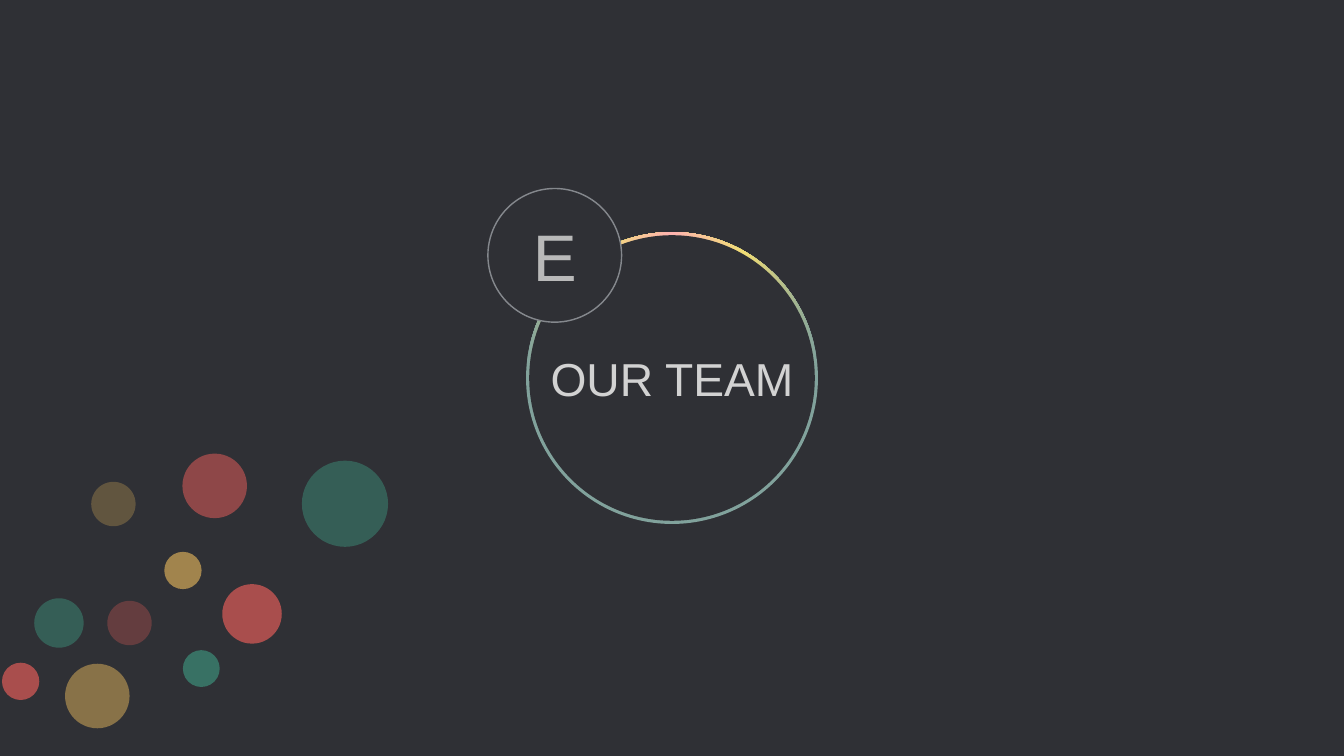
"""Build a section slide with a ringed title, a letter badge and scattered dots."""
from lxml import etree
from pptx import Presentation
from pptx.dml.color import RGBColor
from pptx.enum.shapes import MSO_SHAPE
from pptx.enum.text import MSO_ANCHOR, MSO_AUTO_SIZE, PP_ALIGN
from pptx.oxml.ns import qn
from pptx.util import Pt

OVAL = MSO_SHAPE.OVAL
MIDDLE = MSO_ANCHOR.MIDDLE
FIT_SHAPE = MSO_AUTO_SIZE.SHAPE_TO_FIT_TEXT
CENTER = PP_ALIGN.CENTER

BACKGROUND = RGBColor(0x2F, 0x30, 0x35)
BADGE_LINE = RGBColor(0x85, 0x88, 0x8D)
TITLE_COLOR = RGBColor(0xD2, 0xD2, 0xD2)
LETTER_COLOR = RGBColor(0xB9, 0xB9, 0xB9)
PINK = RGBColor(0xFE, 0xB3, 0xB0)
YELLOW = RGBColor(0xF0, 0xDD, 0x75)
TEAL = RGBColor(0x81, 0xA2, 0x9C)
GOLD = RGBColor(0xF1, 0xC0, 0x5F)
GREEN = RGBColor(0x3F, 0xA0, 0x86)
RED = RGBColor(0xFF, 0x63, 0x5F)

WIDTH, HEIGHT = 1920, 1080
RING_CENTER = (960, 540)
BADGE_CENTER = (792.5, 364.75)

DOTS = [
    ((261.4, 815), 53.3, GOLD, 59),
    ((84.2, 890), 70.6, GREEN, 42),
    ((139, 994.3), 92.2, GOLD, 46),
    ((29.5, 973.4), 53.3, RED, 59),
    ((185, 890), 63.4, RED, 26),
    ((287.6, 955.1), 52.6, GREEN, 59),
    ((492.8, 719.6), 123.1, GREEN, 42),
    ((306.7, 694.1), 92.2, RED, 46),
    ((162, 720), 63.4, GOLD, 26),
    ((360, 877), 85, RED, 59),
]


class SlideBuilder:
    """Hold the font and the current slide, and draw elements by their centres."""

    def __init__(self, slide, font="Arial"):
        self.slide = slide
        self.font = font
        self.shapes = slide.shapes

    def background(self, color):
        """Fill the slide background."""
        fill = self.slide.background.fill
        fill.solid()
        fill.fore_color.rgb = color

    def group(self):
        """Start a group that receives the following elements."""
        self.shapes = self.slide.shapes.add_group_shape().shapes

    def ungroup(self):
        """Return to drawing directly on the slide."""
        self.shapes = self.slide.shapes

    def circle(self, center, diameter, color, opacity=100, line=None):
        """Draw a solid circle with optional transparency and outline."""
        x, y = center
        shape = self.shapes.add_shape(OVAL, Pt(x - diameter / 2), Pt(y - diameter / 2),
                                      Pt(diameter), Pt(diameter))
        shape.shadow.inherit = False
        shape.fill.solid()
        shape.fill.fore_color.rgb = color
        if opacity < 100:
            color_element = shape.element.spPr.find(qn("a:solidFill"))[0]
            etree.SubElement(color_element, qn("a:alpha"), val=str(opacity * 1000))
        if line is None:
            shape.line.fill.background()
        else:
            shape.line.color.rgb = line
            shape.line.width = Pt(2)
        return shape

    def gradient_circle(self, center, diameter, colors):
        """Draw a circle whose evenly spaced colours spread from its top."""
        shape = self.circle(center, diameter, colors[0])
        properties = shape.element.spPr
        gradient = etree.Element(qn("a:gradFill"), rotWithShape="1")
        stops = etree.SubElement(gradient, qn("a:gsLst"))
        for index, color in enumerate(colors):
            position = index * 100000 // (len(colors) - 1)
            stop = etree.SubElement(stops, qn("a:gs"), pos=str(position))
            etree.SubElement(stop, qn("a:srgbClr"), val=str(color))
        focus = etree.SubElement(gradient, qn("a:path"), path="shape")
        etree.SubElement(focus, qn("a:fillToRect"), l="50000", t="0", r="50000", b="100000")
        properties.replace(properties.find(qn("a:solidFill")), gradient)

    def label(self, center, width, height, text, size, color):
        """Write one centred line of text."""
        x, y = center
        shape = self.shapes.add_textbox(Pt(x - width / 2), Pt(y - height / 2),
                                        Pt(width), Pt(height))
        frame = shape.text_frame
        frame.text = text
        frame.word_wrap = False
        frame.auto_size = FIT_SHAPE
        frame.vertical_anchor = MIDDLE
        frame.margin_left = frame.margin_right = Pt(4)
        frame.margin_top = frame.margin_bottom = Pt(4)
        paragraph = frame.paragraphs[0]
        paragraph.alignment = CENTER
        font = paragraph.runs[0].font
        font.name = self.font
        font.size = Pt(size)
        font.color.rgb = color


def main():
    """Create the presentation and save it."""
    presentation = Presentation()
    presentation.slide_width = Pt(WIDTH)
    presentation.slide_height = Pt(HEIGHT)
    builder = SlideBuilder(presentation.slides.add_slide(presentation.slide_layouts[6]))
    builder.background(BACKGROUND)

    builder.group()
    builder.gradient_circle(RING_CENTER, 417, [PINK, YELLOW, TEAL])
    builder.circle(RING_CENTER, 408, BACKGROUND)
    builder.label(RING_CENTER, 356.4, 87, "OUR TEAM", 66, TITLE_COLOR)

    builder.group()
    builder.circle(BADGE_CENTER, 191, BACKGROUND, line=BADGE_LINE)
    builder.label(BADGE_CENTER, 72, 121, "E", 94, LETTER_COLOR)

    builder.ungroup()
    for center, diameter, color, opacity in DOTS:
        builder.circle(center, diameter, color, opacity)

    presentation.save("out.pptx")


if __name__ == "__main__":
    main()
